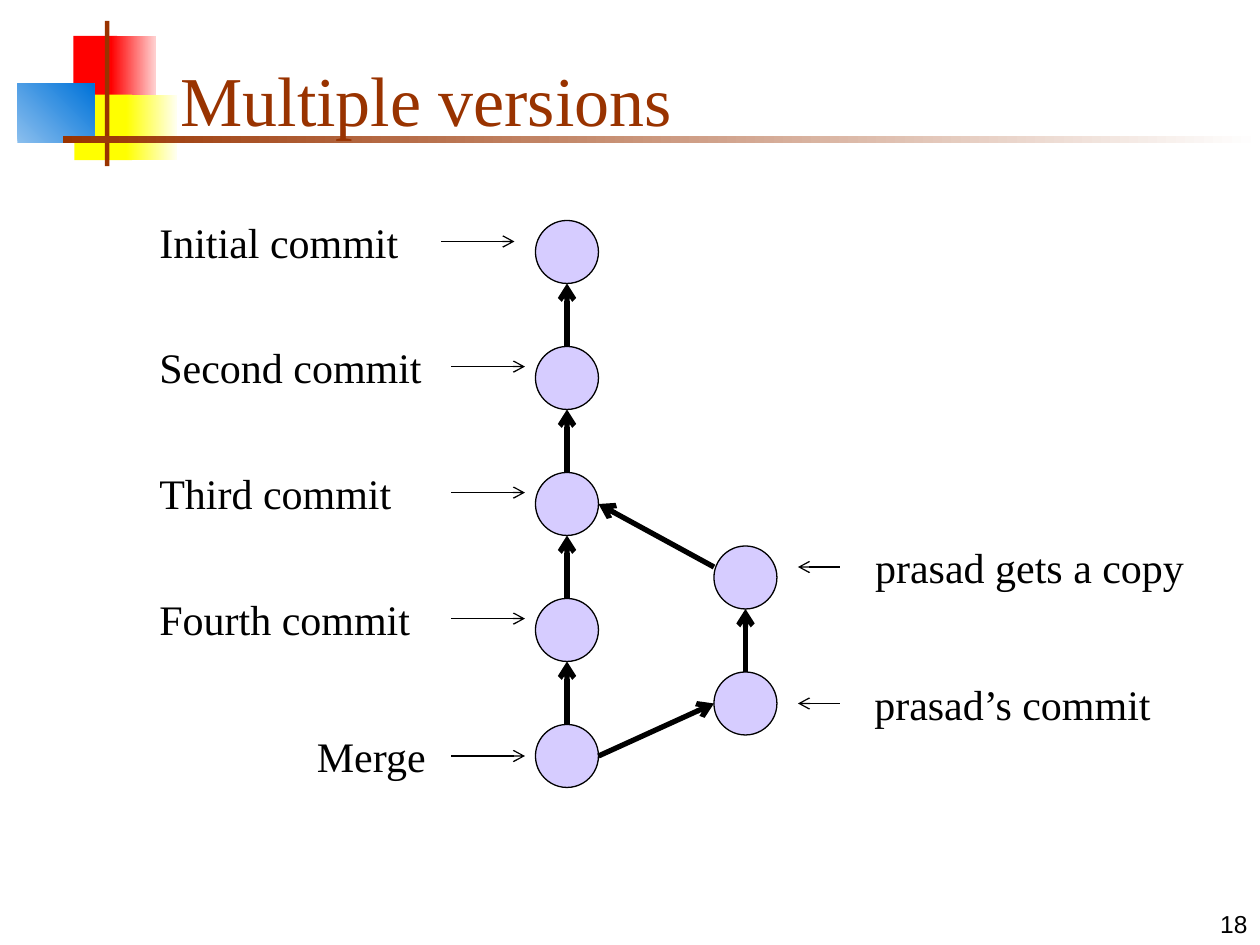
from lxml import etree
from pptx import Presentation
from pptx.dml.color import RGBColor
from pptx.enum.shapes import MSO_CONNECTOR, MSO_SHAPE
from pptx.enum.text import MSO_ANCHOR, MSO_AUTO_SIZE, PP_ALIGN
from pptx.oxml.ns import qn
from pptx.util import Pt

RECT, OVAL = MSO_SHAPE.RECTANGLE, MSO_SHAPE.OVAL
LINE = MSO_CONNECTOR.STRAIGHT
TOP, BOTTOM = MSO_ANCHOR.TOP, MSO_ANCHOR.BOTTOM
LEFT, RIGHT = PP_ALIGN.LEFT, PP_ALIGN.RIGHT
FIXED = MSO_AUTO_SIZE.NONE
SIZE = 36
HALF = SIZE / 2


def color(code):
    return RGBColor.from_string(code)


class Board:
    serif, sans = "Times New Roman", "Arial"
    ink, rust, node_fill = "000000", "993300", "D6CCFF"

    def __init__(self, slide):
        self.slide = slide
        self.shapes = slide.shapes

    def set_text(self, frame, text, size, font, code, align=LEFT, anchor=TOP):
        frame.auto_size = FIXED
        frame.vertical_anchor = anchor
        para = frame.paragraphs[0]
        para.alignment = align
        run = para.add_run()
        run.text = text
        run.font.size = Pt(size)
        run.font.name = font
        run.font.color.rgb = color(code)

    def title(self, text, x, y, w, h):
        shape = self.shapes.title
        shape.left, shape.top, shape.width, shape.height = map(Pt, (x, y, w, h))
        self.set_text(shape.text_frame, text, 40, self.serif, self.rust, anchor=BOTTOM)
        # Bring the title in front of the decoration.
        self.shapes.element.append(shape.element)

    def label(self, text, x, y, w, h=36, size=24, font=serif, wrap=True,
              align=LEFT, anchor=TOP):
        frame = self.shapes.add_textbox(Pt(x), Pt(y), Pt(w), Pt(h)).text_frame
        frame.word_wrap = wrap
        self.set_text(frame, text, size, font, self.ink, align, anchor)

    def shape(self, kind, x, y, w, h):
        shape = self.shapes.add_shape(kind, Pt(x), Pt(y), Pt(w), Pt(h))
        shape.shadow.inherit = False
        return shape

    def block(self, x, y, w, h, start, end=None, angle=0):
        """Draw a borderless rectangle, with a gradient if end is given."""
        shape = self.shape(RECT, x, y, w, h)
        shape.line.fill.background()
        if end is None:
            shape.fill.solid()
            shape.fill.fore_color.rgb = color(start)
            return
        shape.fill.gradient()
        shape.fill.gradient_angle = angle
        for stop, code in zip(shape.fill.gradient_stops, (start, end)):
            stop.color.rgb = color(code)

    def node(self, x, y):
        shape = self.shape(OVAL, x, y, SIZE, SIZE)
        shape.fill.solid()
        shape.fill.fore_color.rgb = color(self.node_fill)
        shape.line.color.rgb = color(self.ink)
        shape.line.width = Pt(0.75)

    def arrow(self, x1, y1, x2, y2, width=0.75):
        link = self.shapes.add_connector(LINE, Pt(x1), Pt(y1), Pt(x2), Pt(y2))
        link.line.color.rgb = color(self.ink)
        link.line.width = Pt(width)
        props = link.element.spPr
        etree.SubElement(props.find(qn("a:ln")), qn("a:tailEnd"), type="arrow")
        etree.SubElement(props, qn("a:effectLst"))

    def chain(self, x, tops):
        """Draw a column of commits, each pointing to the one above."""
        for y in tops:
            self.node(x, y)
        for above, below in zip(tops, tops[1:]):
            self.arrow(x + HALF, below, x + HALF, above + SIZE, 3)


def main():
    deck = Presentation()
    deck.slide_width, deck.slide_height = Pt(720), Pt(540)
    board = Board(deck.slides.add_slide(deck.slide_layouts[5]))

    blocks = [
        (42, 20.5, 25, 37.5, "FF0000"),
        (63.5, 20.5, 25.5, 37.5, "FF0000", "FFD1D1"),
        (42.5, 54, 33, 37.5, "FFFF00"),
        (72, 54, 29, 37.5, "FFFF00", "FFFFF0"),
        (10, 48, 44, 33.5, "8BBFEE", "0073D9", 45),
        (60, 12, 2.5, 83, Board.rust),
        (36, 78, 684, 3.75, Board.rust, "FFFFFF"),
    ]
    for block in blocks:
        board.block(*block)
    board.title("Multiple versions", 96, 18, 613.5, 66)
    board.label("18", 570, 504, 150, size=14, font=Board.sans,
                align=RIGHT, anchor=BOTTOM)

    trunk_x, fork_x = 306, 408
    trunk = [126 + 72 * i for i in range(5)]
    fork = [312, 384]
    board.chain(trunk_x, trunk)
    board.chain(fork_x, fork)
    board.arrow(fork_x, fork[0] + 12, trunk_x + SIZE, trunk[2] + HALF, 3)
    board.arrow(trunk_x + SIZE, trunk[4] + HALF, fork_x, fork[1] + HALF, 3)

    # Text, left, top, width, arrow start
    left = [
        ("Initial commit", 84, 120, 168, 252),
        ("Second commit", 84, 191.5, 174, 258),
        ("Third commit", 84, 263.5, 174, 258),
        ("Fourth commit", 84, 335.5, 174, 258),
        ("Merge", 174, 414, 84, 258),
    ]
    for text, x, y, w, start in left:
        board.label(text, x, y, w)
        board.arrow(start, y + HALF, start + 42, y + HALF)

    right = [("prasad gets a copy", 493, 306, 191), ("prasad’s commit", 492.5, 384, 173.5)]
    for text, x, y, w in right:
        board.label(text, x, y, w, wrap=False)
        board.arrow(480, y + HALF, 456, y + HALF)

    deck.save("out.pptx")


if __name__ == "__main__":
    main()
